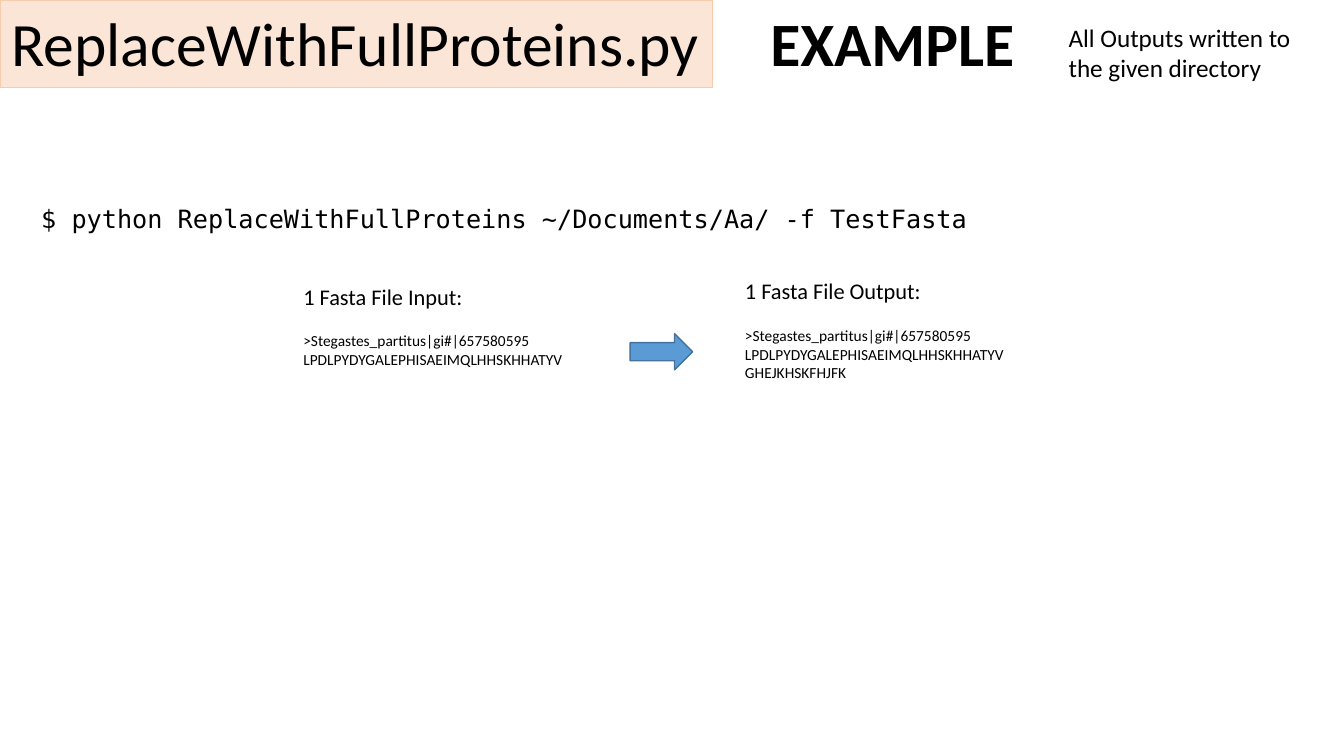
"""Build the slide showing an example run of ReplaceWithFullProteins.py."""
from lxml.etree import SubElement
from pptx import Presentation
from pptx.dml.color import RGBColor
from pptx.enum.shapes import MSO_SHAPE
from pptx.enum.text import MSO_ANCHOR, MSO_AUTO_SIZE, PP_ALIGN
from pptx.oxml.ns import qn
from pptx.util import Inches, Pt

COLOURS = {"text": "000000", "banner": "FBE5D6", "banner line": "F8CBAD",
           "arrow": "5B9BD5", "arrow line": "43739E"}
BODY, CODE = "Calibri", "DejaVu Sans Mono"
INPUT_LEFT, OUTPUT_LEFT = 2.91, 7.29
HEADER = ">Stegastes_partitus|gi#|657580595"
SEQUENCE = "LPDLPYDYGALEPHISAEIMQLHHSKHHATYV"


def add_span(para, words, size, font=BODY, bold=False):
    span = para.add_run()
    span.text = words
    span.font.size = Pt(size)
    span.font.name = font
    span.font.bold = bold
    span.font.color.rgb = RGBColor.from_string(COLOURS["text"])


def add_filled_shape(page, kind, name, *place):
    shape = page.shapes.add_shape(kind, *map(Inches, place))
    shape.shadow.inherit = False
    shape.fill.solid()
    shape.fill.fore_color.rgb = RGBColor.from_string(COLOURS[name])
    shape.line.color.rgb = RGBColor.from_string(COLOURS[name + " line"])
    shape.line.width = Pt(1)
    return shape


deck = Presentation()
deck.slide_width, deck.slide_height = Inches(13.33), Inches(7.5)
page = deck.slides.add_slide(deck.slide_layouts[5])

title = page.shapes.title
title.left, title.top = Inches(0.01), Inches(-0.26)
title.width, title.height = Inches(11.5), Inches(1.45)
title.text_frame.vertical_anchor = MSO_ANCHOR.MIDDLE
title.text_frame.auto_size = MSO_AUTO_SIZE.NONE
heading = title.text_frame.paragraphs[0]
heading.alignment = PP_ALIGN.LEFT
heading.line_spacing = 0.9
add_span(heading, "ReplaceWithFullProteins.py", 44)
add_span(heading, "\t", 44)
add_span(heading, "EXAMPLE", 44, bold=True)
tabs = SubElement(heading._p.get_or_add_pPr(), qn("a:tabLst"))
SubElement(tabs, qn("a:tab"), pos=str(Inches(7.53)), algn="l")

banner = add_filled_shape(page, MSO_SHAPE.RECTANGLE, "banner", 0, 0, 7.07, 0.87)
title.element.addprevious(banner.element)
add_filled_shape(page, MSO_SHAPE.RIGHT_ARROW, "arrow", 6.25, 3.31, 0.62, 0.36)

text_boxes = [
    ((0.31, 1.97, 10.01, 0.4), 18, CODE, True,
     ["$ python ReplaceWithFullProteins ~/Documents/Aa/ -f TestFasta"]),
    ((OUTPUT_LEFT, 2.7, 1.97, 0.37), 16, BODY, False, ["1 Fasta File Output:"]),
    ((10.5, 0.17, 2.69, 0.71), 18, BODY, True,
     ["All Outputs written to the given directory"]),
    ((INPUT_LEFT, 3.24, 2.91, 0.47), 11, BODY, True, [HEADER, SEQUENCE]),
    ((OUTPUT_LEFT, 3.19, 2.91, 0.66), 11, BODY, True,
     [HEADER, SEQUENCE + "\nGHEJKHSKFHJFK"]),
    ((INPUT_LEFT, 2.76, 1.8, 0.37), 16, BODY, False, ["1 Fasta File Input:"]),
]
for place, size, font, wrap, paragraphs in text_boxes:
    frame = page.shapes.add_textbox(*map(Inches, place)).text_frame
    frame.word_wrap = wrap
    frame.auto_size = MSO_AUTO_SIZE.SHAPE_TO_FIT_TEXT
    for number, words in enumerate(paragraphs):
        para = frame.add_paragraph() if number else frame.paragraphs[0]
        for row, line in enumerate(words.split("\n")):
            if row:
                para.add_line_break()
            add_span(para, line, size, font)

deck.save("out.pptx")
